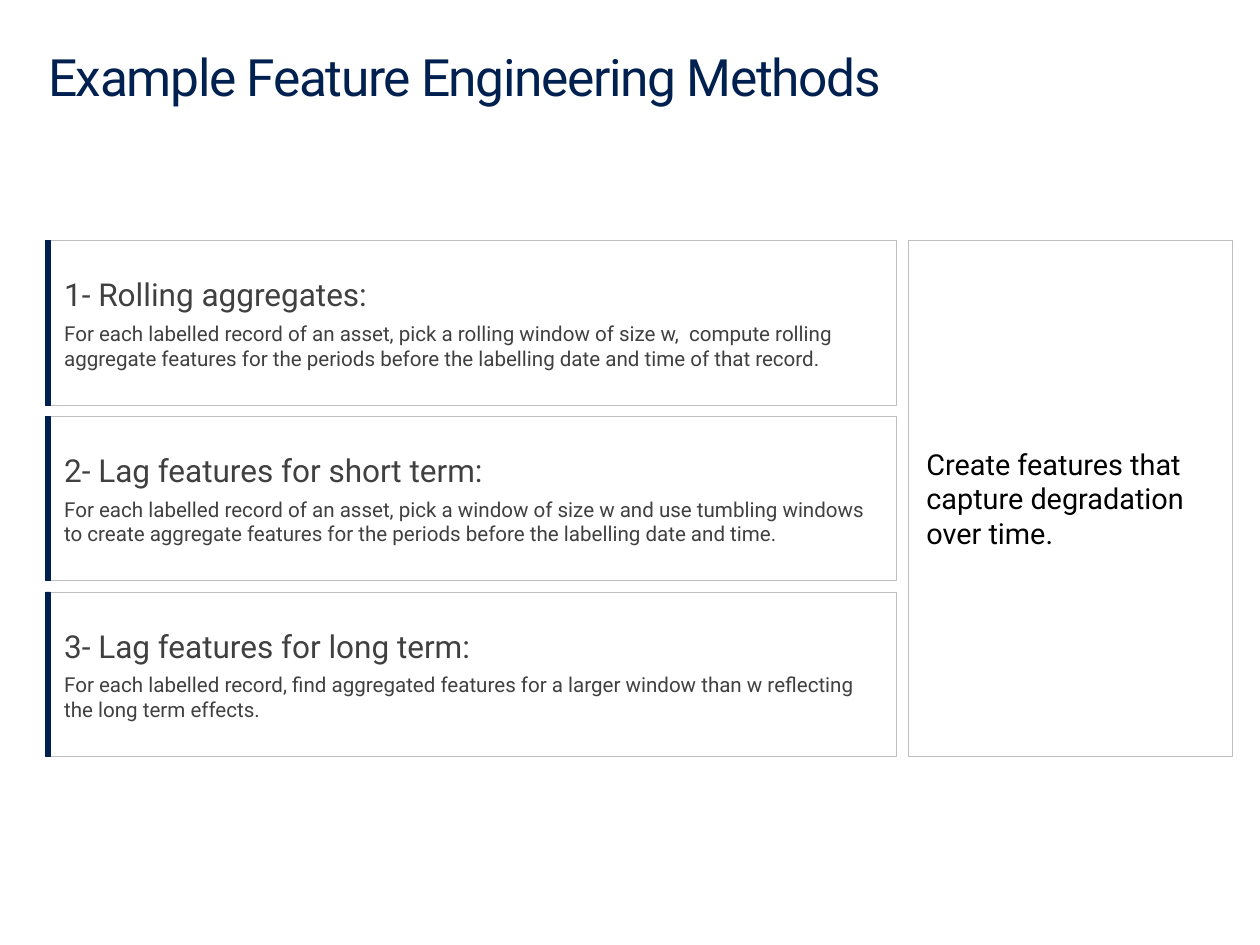
from pptx import Presentation
from pptx.dml.color import RGBColor
from pptx.enum.shapes import MSO_SHAPE
from pptx.enum.text import MSO_ANCHOR, MSO_AUTO_SIZE, PP_ALIGN
from pptx.util import Cm, Pt

RECT = MSO_SHAPE.RECTANGLE
TOP, MIDDLE = MSO_ANCHOR.TOP, MSO_ANCHOR.MIDDLE
LEFT = PP_ALIGN.LEFT
NO_AUTOFIT = MSO_AUTO_SIZE.NONE

NAVY, GREY, BLACK, BORDER = "002050", "404040", "000000", "BFBFBF"

METHODS = [
    ("1- Rolling aggregates:",
     "For each labelled record of an asset, pick a rolling window of size w,  compute rolling "
     "aggregate features for the periods before the labelling date and time of that record."),
    ("2- Lag features for short term:",
     "For each labelled record of an asset, pick a window of size w and use tumbling windows "
     "to create aggregate features for the periods before the labelling date and time."),
    ("3- Lag features for long term:",
     "For each labelled record, find aggregated features for a larger window than w reflecting "
     "the long term effects."),
]


def color(hex_value):
    return RGBColor.from_string(hex_value)


class MethodSlide:
    font_name = "Roboto"

    def __init__(self, slide):
        self.slide = slide

    def style(self, paragraph, size, hex_value):
        paragraph.alignment = LEFT
        paragraph.font.name = self.font_name
        paragraph.font.size = Pt(size)
        paragraph.font.color.rgb = color(hex_value)

    def frame(self, text_frame, anchor, left, top, right, bottom):
        text_frame.word_wrap = True
        text_frame.auto_size = NO_AUTOFIT
        text_frame.vertical_anchor = anchor
        text_frame.margin_left, text_frame.margin_top = Cm(left), Cm(top)
        text_frame.margin_right, text_frame.margin_bottom = Cm(right), Cm(bottom)

    def title(self, text, left, top, width, height):
        heading = self.slide.shapes.title
        heading.left, heading.top = Cm(left), Cm(top)
        heading.width, heading.height = Cm(width), Cm(height)
        self.frame(heading.text_frame, TOP, 0.41, 0.25, 0.41, 0.25)
        paragraph = heading.text_frame.paragraphs[0]
        run = paragraph.add_run()
        run.text = text
        run._r.get_or_add_rPr().set("spc", "-80")
        paragraph.line_spacing = 0.9
        self.style(paragraph, 30, NAVY)

    def rectangle(self, left, top, width, height, line, fill=None):
        shape = self.slide.shapes.add_shape(RECT, Cm(left), Cm(top), Cm(width), Cm(height))
        shape.shadow.inherit = False
        if fill:
            shape.fill.solid()
            shape.fill.fore_color.rgb = color(fill)
        else:
            shape.fill.background()
        shape.line.color.rgb = color(line)
        shape.line.width = Pt(0.25)
        return shape

    def card(self, left, top, width, height, lines):
        """Outlined box; lines are (text, size, colour)."""
        text_frame = self.rectangle(left, top, width, height, BORDER).text_frame
        self.frame(text_frame, MIDDLE, 0.38, 0.13, 0.25, 0.13)
        for index, (text, size, hex_value) in enumerate(lines):
            paragraph = text_frame.add_paragraph() if index else text_frame.paragraphs[0]
            paragraph.text = text
            if index:
                paragraph.space_before = Pt(4.6)
            self.style(paragraph, size, hex_value)


def main():
    deck = Presentation()
    deck.slide_width, deck.slide_height = Cm(25.91), Cm(19.43)
    page = MethodSlide(deck.slides.add_slide(deck.slide_layouts[5]))

    # Title
    page.title("Example Feature Engineering Methods", 0.58, 0.81, 24.77, 2.54)

    # Method cards with accent bars
    left, top, width, height, gap = 0.94, 4.95, 17.5, 3.38, 0.23
    for row, (method, description) in enumerate(METHODS):
        card_top = top + row * (height + gap)
        page.card(left, card_top, width, height,
                  [(method, 18.4, GREY), (description, 12, GREY)])
        page.rectangle(left, card_top, 0.1, height, NAVY, NAVY)

    # Purpose panel, as tall as the stack of cards
    stack_height = len(METHODS) * (height + gap) - gap
    page.card(left + width + gap, top, 6.68, stack_height,
              [("Create features that capture degradation over time.", 16.8, BLACK)])

    deck.save("out.pptx")


if __name__ == "__main__":
    main()
